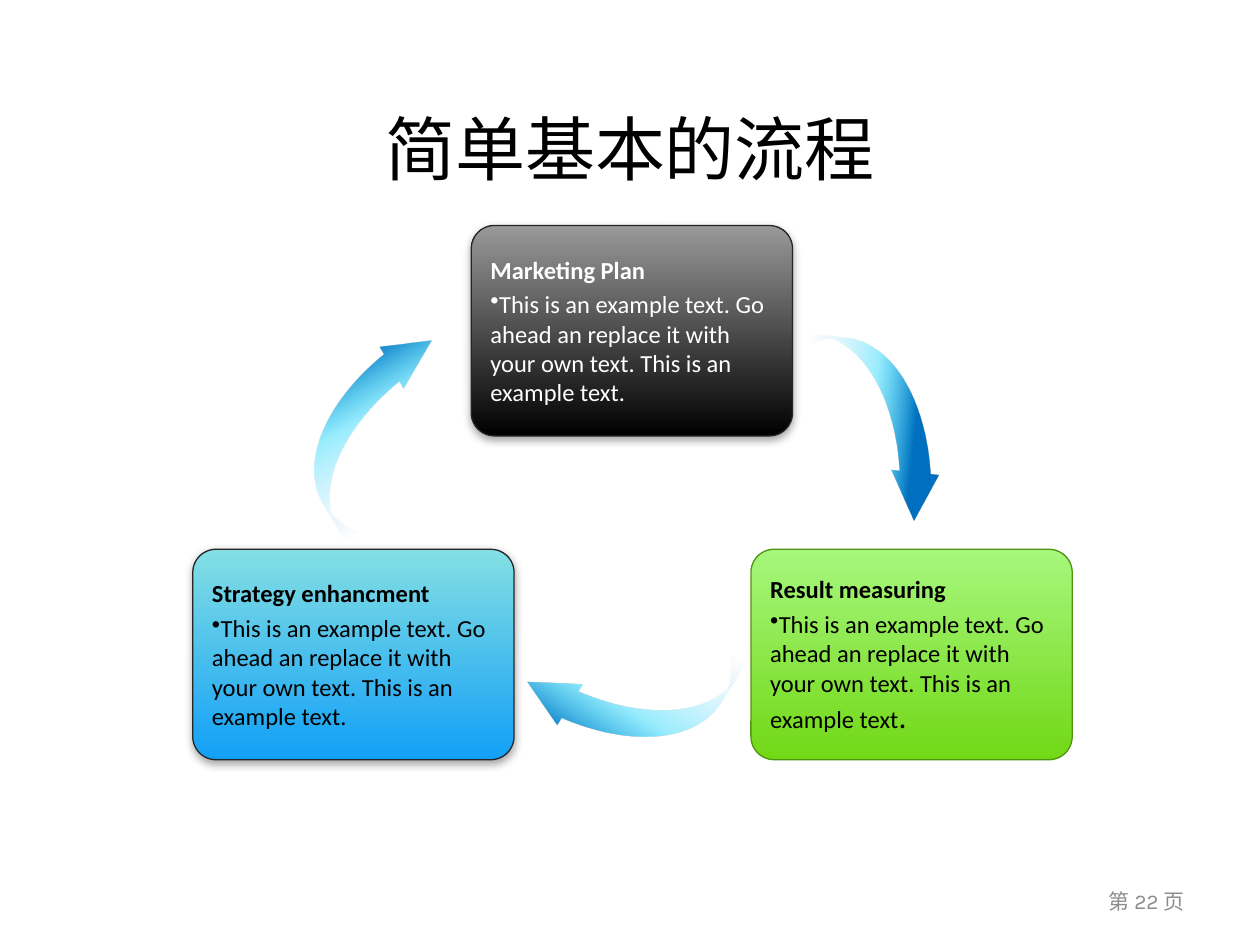
from lxml.etree import SubElement
from pptx import Presentation
from pptx.dml.color import RGBColor
from pptx.enum.shapes import MSO_SHAPE as Preset
from pptx.enum.text import MSO_ANCHOR as Anchor, PP_ALIGN as Align
from pptx.oxml.ns import qn
from pptx.util import Inches, Pt

THEME = {
    "title": {"name": "Karla", "size": Pt(40), "color": "000000"},
    "page": {"name": "Karla", "size": Pt(12), "color": "8C8C8C"},
    "heading": {"name": "Calibri", "size": Pt(14), "bold": True},
    "body": {"name": "Calibri", "size": Pt(14), "bold": False},
    "large_stop": {"size": Pt(18)},
    "white": "FFFFFF",
    "black": "000000",
    "dark_line": "262626",
    "green_line": "4F950F",
    "plan": [(0, "000000", 100), (100, "999999", 100)],
    "strategy": [(0, "12A0F6", 100), (100, "84DFE4", 100)],
    "result": [(0, "72D816", 100), (100, "A6F77D", 100)],
    "arrow": [(18, "0070C0", 100), (34, "13D6FD", 42),
              (59, "7FD6FF", 0), (100, "E6E6E6", 0)],
}


def add_run(paragraph, text, **style):
    run = paragraph.add_run()
    run.text = text
    for name, value in style.items():
        if name == "color":
            run.font.color.rgb = RGBColor.from_string(value)
        else:
            setattr(run.font, name, value)


def fill_gradient(shape, stops, angle):
    """Fill with (position %, colour, opacity %) stops; angle is counterclockwise."""
    shape.fill.gradient()
    shape.fill.gradient_angle = angle
    stop_list = shape.element.spPr.find(".//" + qn("a:gsLst"))
    for old_stop in list(stop_list):
        stop_list.remove(old_stop)
    for position, color, opacity in stops:
        stop = SubElement(stop_list, qn("a:gs"), pos=str(position * 1000))
        rgb = SubElement(stop, qn("a:srgbClr"), val=color)
        if opacity < 100:
            SubElement(rgb, qn("a:alpha"), val=str(opacity * 1000))


presentation = Presentation()
presentation.slide_width, presentation.slide_height = Inches(10), Inches(7.5)
slide = presentation.slides.add_slide(presentation.slide_layouts[5])

# Title and page number
title = slide.shapes.title
title.left, title.top = Inches(0.5), Inches(0.78)
title.width, title.height = Inches(9), Inches(0.78)
page = slide.shapes.add_textbox(Inches(7.17), Inches(6.95), Inches(2.33), Inches(0.4))
for shape, text, style, alignment in (
    (title, "简单基本的流程", "title", Align.CENTER),
    (page, "第 22 页", "page", Align.RIGHT),
):
    shape.text_frame.word_wrap = True
    shape.text_frame.vertical_anchor = Anchor.MIDDLE
    paragraph = shape.text_frame.paragraphs[0]
    paragraph.alignment = alignment
    add_run(paragraph, text, **THEME[style])

# Step cards
EXAMPLE = ("This is an example text. Go ahead an replace it with your own text. "
           "This is an example text")
CARDS = [
    # left, top, heading, gradient, text colour, line colour, shadow, full stop style
    (3.74, 1.79, "Marketing Plan", "plan", "white", "dark_line", True, {}),
    (1.53, 4.36, "Strategy enhancment", "strategy", "black", "dark_line", True, {}),
    (5.96, 4.36, "Result measuring", "result", "black", "green_line", False,
     THEME["large_stop"]),
]
for left, top, heading, gradient, ink, line, has_shadow, stop_style in CARDS:
    card = slide.shapes.add_shape(Preset.ROUNDED_RECTANGLE, Inches(left), Inches(top),
                                  Inches(2.55), Inches(1.67))
    card.adjustments[0] = 0.11
    fill_gradient(card, THEME[gradient], 90)
    card.line.color.rgb = RGBColor.from_string(THEME[line])
    card.line.width = Pt(0.75)
    card.shadow.inherit = False
    if has_shadow:
        effects = card.element.spPr.find(qn("a:effectLst"))
        shadow = SubElement(effects, qn("a:outerShdw"), blurRad=str(Pt(5)),
                            dist=str(Pt(1.8)), dir="5400000", rotWithShape="0")
        rgb = SubElement(shadow, qn("a:srgbClr"), val=THEME["black"])
        SubElement(rgb, qn("a:alpha"), val="35000")

    frame = card.text_frame
    frame.word_wrap = True
    frame.vertical_anchor = Anchor.MIDDLE
    color = THEME[ink]
    paragraph = frame.paragraphs[0]
    paragraph.alignment = Align.LEFT
    add_run(paragraph, heading, **THEME["heading"], color=color)

    paragraph = frame.add_paragraph()
    paragraph.alignment = Align.LEFT
    paragraph.space_before = Pt(3)
    SubElement(paragraph._p.get_or_add_pPr(), qn("a:buChar"), char="•")
    body = {**THEME["body"], "color": color}
    if stop_style:
        add_run(paragraph, EXAMPLE, **body)
        add_run(paragraph, ".", **{**body, **stop_style})
    else:
        add_run(paragraph, EXAMPLE + ".", **body)

# Arrows around the cycle
for left, top, rotation in ((5.59, 2.67, 6.1), (2.24, 3.03, 240.3), (4.22, 4.44, 122.5)):
    arrow = slide.shapes.add_shape(Preset.CURVED_DOWN_ARROW, Inches(left), Inches(top),
                                   Inches(1.93), Inches(1.38))
    for index, value in enumerate((0.179, 0.276, 0.277)):
        arrow.adjustments[index] = value
    arrow.rotation = rotation
    fill_gradient(arrow, THEME["arrow"], 180)
    arrow.line.fill.background()
    arrow.shadow.inherit = False

presentation.save("out.pptx")
